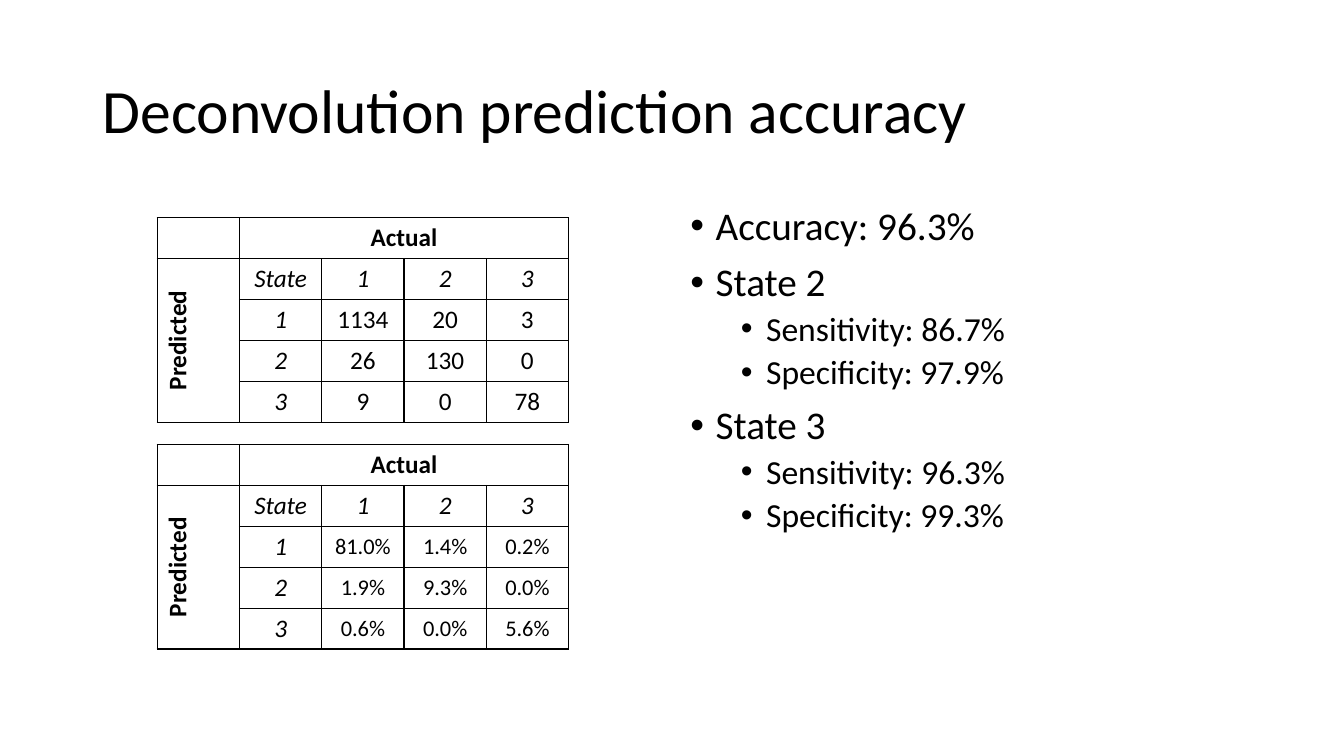
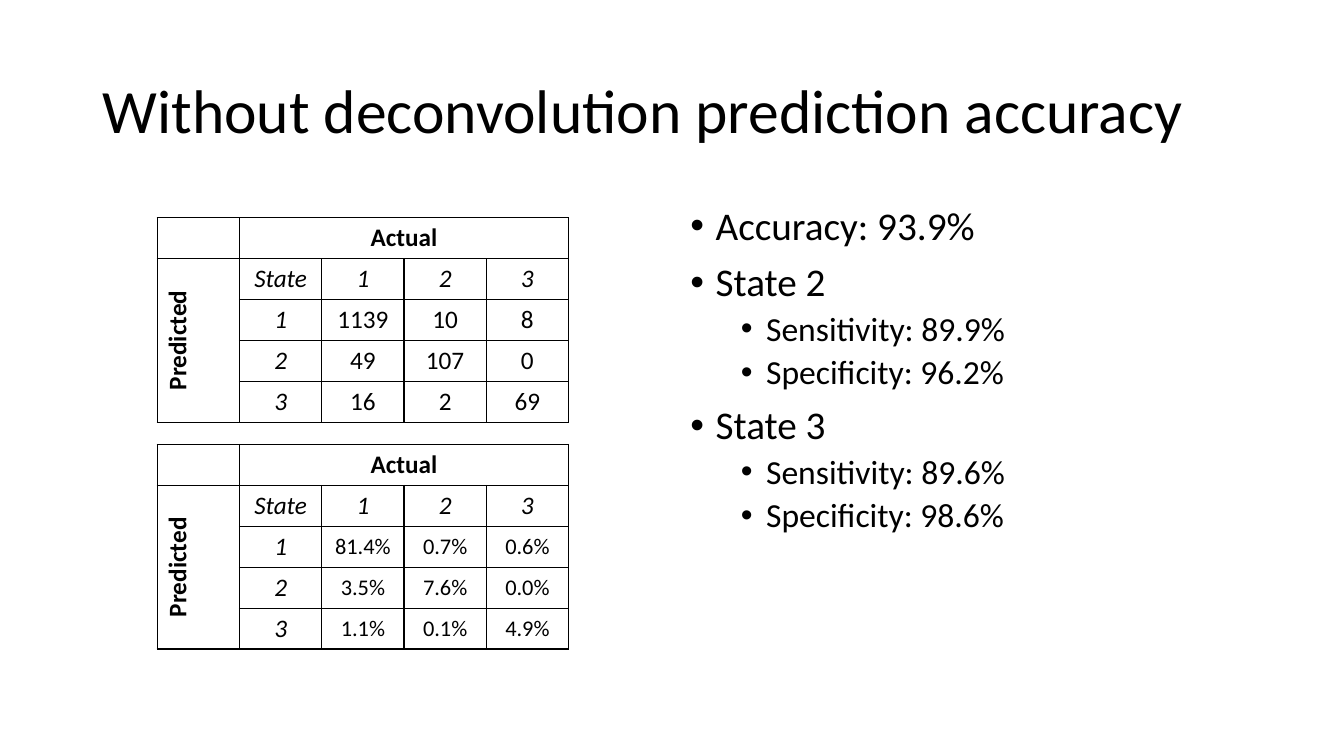
from lxml.etree import SubElement
from pptx import Presentation
from pptx.dml.color import RGBColor
from pptx.enum.text import MSO_ANCHOR as Anchor, PP_ALIGN as Align
from pptx.oxml.ns import qn
from pptx.util import Inches, Pt

FONT = "Calibri"
INK = "000000"
TITLE_BOX = (0.92, 0.4, 11.5, 1.45)
SCORES_BOX = (6.75, 2, 5.67, 4.76)
COUNTS_BOX = (1.56, 2.16, 4.08, 2.03)
SHARES_BOX = (1.56, 4.41, 4.08, 2.03)
STATES = ["1", "2", "3"]
GRID = len(STATES) + 2

RESULTS = [
    {
        "title": "Deconvolution prediction accuracy",
        "accuracy": "96.3%",
        "states": [("State 2", "86.7%", "97.9%"), ("State 3", "96.3%", "99.3%")],
        "counts": [["1134", "20", "3"], ["26", "130", "0"], ["9", "0", "78"]],
        "shares": [["81.0%", "1.4%", "0.2%"], ["1.9%", "9.3%", "0.0%"],
                   ["0.6%", "0.0%", "5.6%"]],
    },
    {
        "title": "Without deconvolution prediction accuracy",
        "accuracy": "93.9%",
        "states": [("State 2", "89.9%", "96.2%"), ("State 3", "89.6%", "98.6%")],
        "counts": [["1139", "10", "8"], ["49", "107", "0"], ["16", "2", "69"]],
        "shares": [["81.4%", "0.7%", "0.6%"], ["3.5%", "7.6%", "0.0%"],
                   ["1.1%", "0.1%", "4.9%"]],
    },
]


def inches(box):
    return [Inches(length) for length in box]


def color(hex_code):
    return RGBColor.from_string(hex_code)


def style(paragraph, size, bold=False, italic=False):
    font = paragraph.font
    font.name = FONT
    font.size = Pt(size)
    font.bold = bold
    font.italic = italic
    font.color.rgb = color(INK)


def add_text_frame(slide, box, anchor):
    frame = slide.shapes.add_textbox(*inches(box)).text_frame
    frame.word_wrap = True
    frame.vertical_anchor = anchor
    return frame


def add_title(slide, box, text):
    title = add_text_frame(slide, box, Anchor.MIDDLE).paragraphs[0]
    title.text = text
    title.line_spacing = 0.9
    style(title, 44)


def add_bullet(paragraph, indent):
    properties = paragraph._p.get_or_add_pPr()
    properties.set("marL", str(Inches(indent)))
    properties.set("indent", str(Inches(-0.25)))
    SubElement(properties, qn("a:buFont"), typeface="Arial")
    SubElement(properties, qn("a:buChar"), char="•")


def add_scores(slide, box, accuracy, states):
    lines = [(0, f"Accuracy: {accuracy}")]
    for state, sensitivity, specificity in states:
        lines += [(0, state), (1, f"Sensitivity: {sensitivity}"),
                  (1, f"Specificity: {specificity}")]
    frame = add_text_frame(slide, box, Anchor.TOP)
    for index, (level, text) in enumerate(lines):
        line = frame.add_paragraph() if index else frame.paragraphs[0]
        line.text = text
        line.level = level
        line.line_spacing = 0.9
        if index:
            line.space_before = Pt(5 if level else 10)
        add_bullet(line, 0.75 if level else 0.25)
        style(line, 24 if level else 28)


def add_borders(cell):
    properties = cell._tc.get_or_add_tcPr()
    for side in ("lnL", "lnR", "lnT", "lnB"):
        border = SubElement(properties, qn(f"a:{side}"), w=str(Pt(1)))
        fill = SubElement(border, qn("a:solidFill"))
        SubElement(fill, qn("a:srgbClr"), val=INK)


def write_cell(cell, text, size=18, bold=False, italic=False):
    cell.vertical_anchor = Anchor.MIDDLE
    entry = cell.text_frame.paragraphs[0]
    entry.text = text
    entry.alignment = Align.CENTER
    style(entry, size, bold, italic)


def add_confusion_matrix(slide, box, values, value_size):
    matrix = slide.shapes.add_table(GRID, GRID, *inches(box)).table
    matrix.first_row = False
    matrix.horz_banding = False
    for column in matrix.columns:
        column.width = Inches(box[2] / GRID)
    for row in matrix.rows:
        row.height = Inches(box[3] / GRID)
    for cell in matrix.iter_cells():
        add_borders(cell)
        cell.fill.background()

    last = GRID - 1
    actual, predicted = matrix.cell(0, 1), matrix.cell(1, 0)
    actual.merge(matrix.cell(0, last))
    predicted.merge(matrix.cell(last, 0))
    write_cell(actual, "Actual", bold=True)
    write_cell(predicted, "Predicted", bold=True)
    predicted._tc.get_or_add_tcPr().set("vert", "vert270")

    write_cell(matrix.cell(1, 1), "State", italic=True)
    for index, (state, shown) in enumerate(zip(STATES, values), 2):
        write_cell(matrix.cell(1, index), state, italic=True)
        write_cell(matrix.cell(index, 1), state, italic=True)
        for column, value in enumerate(shown, 2):
            write_cell(matrix.cell(index, column), value, value_size)


def add_result_slide(deck, result):
    slide = deck.slides.add_slide(deck.slide_layouts[6])
    add_title(slide, TITLE_BOX, result["title"])
    add_scores(slide, SCORES_BOX, result["accuracy"], result["states"])
    add_confusion_matrix(slide, COUNTS_BOX, result["counts"], 18)
    add_confusion_matrix(slide, SHARES_BOX, result["shares"], 16)


def main():
    deck = Presentation()
    deck.slide_width = Inches(13.33)
    deck.slide_height = Inches(7.5)
    for result in RESULTS:
        add_result_slide(deck, result)
    deck.save("out.pptx")


if __name__ == "__main__":
    main()
